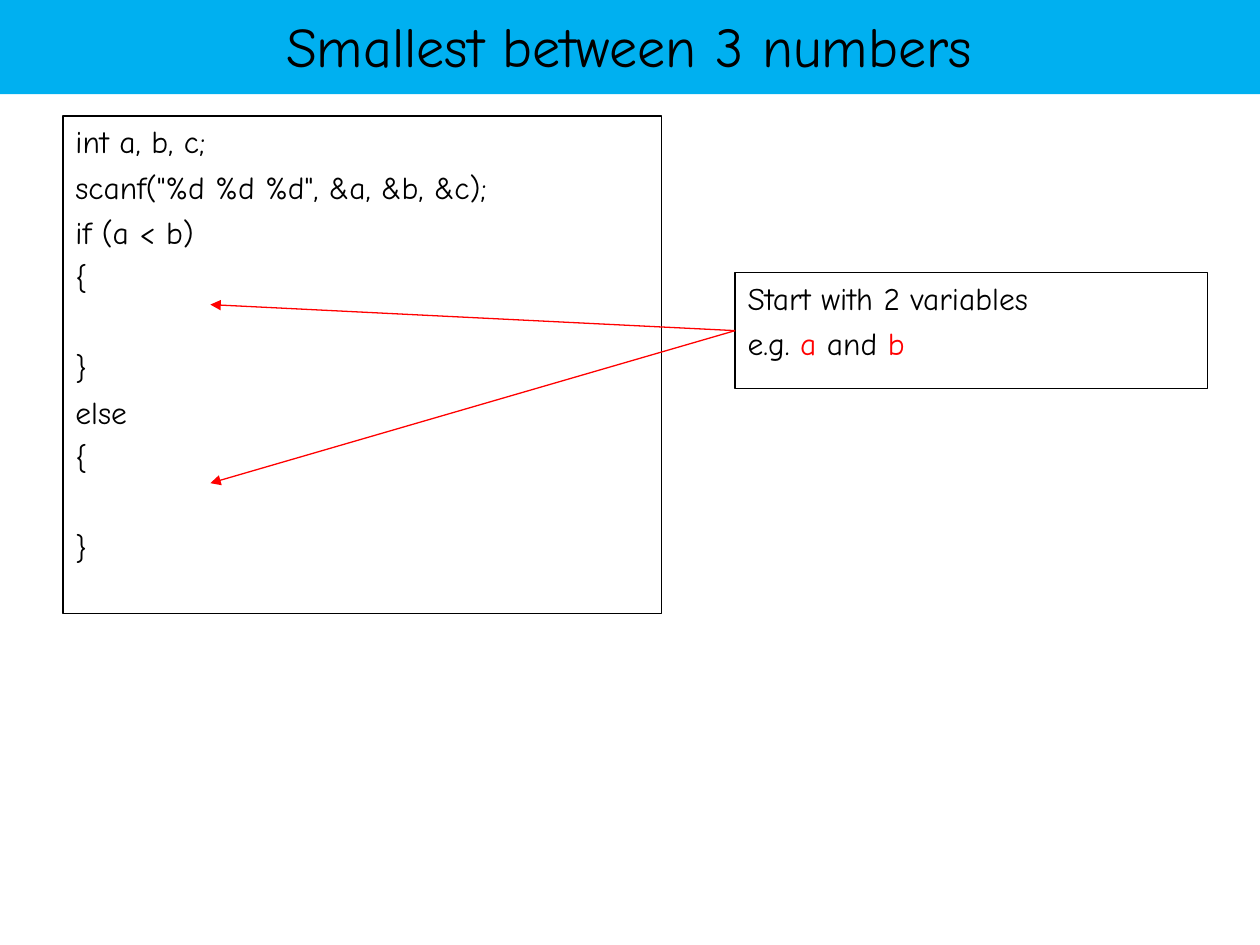
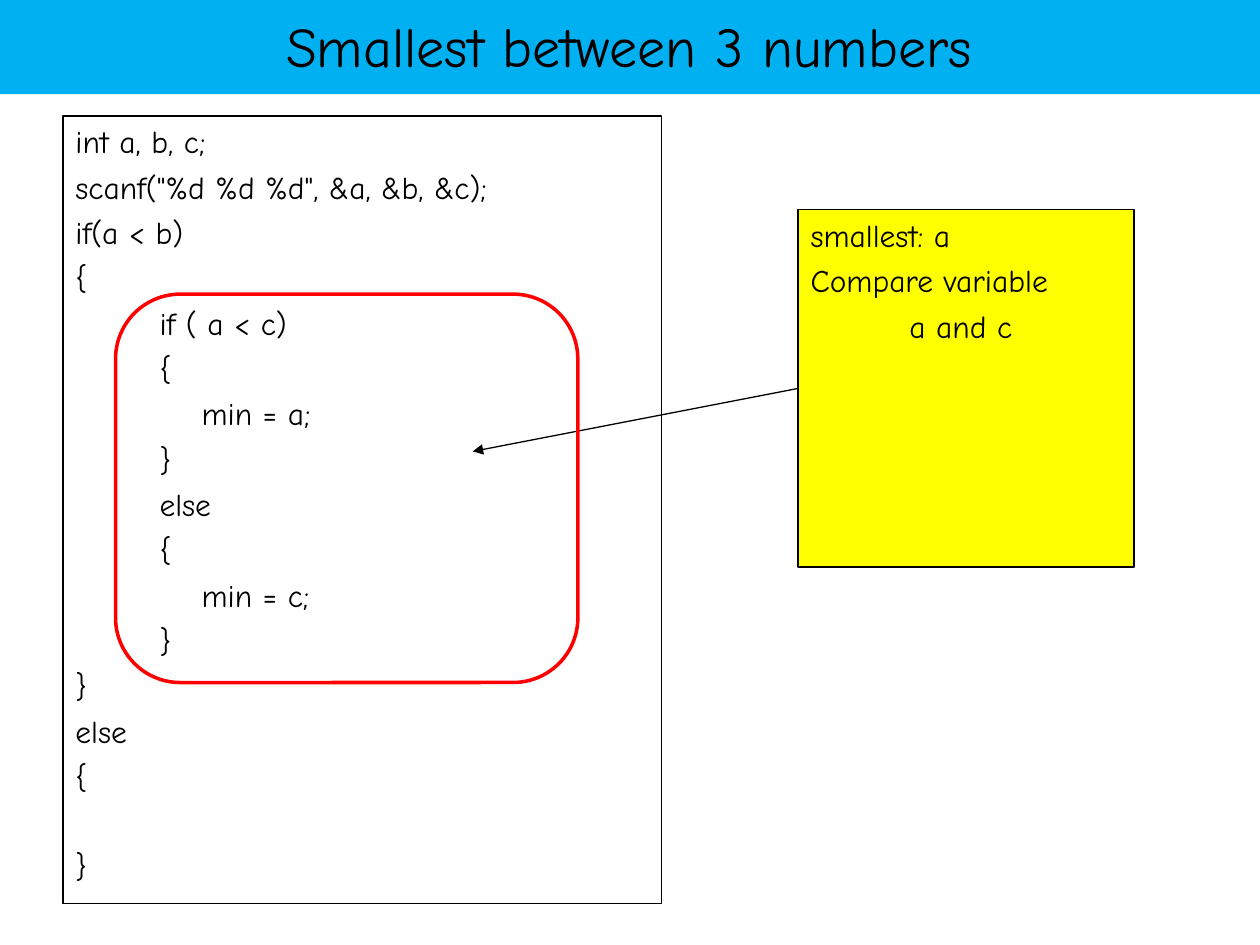
from pptx import Presentation
from pptx.dml.color import RGBColor
from pptx.enum.shapes import MSO_CONNECTOR, MSO_SHAPE
from pptx.enum.text import MSO_ANCHOR, PP_ALIGN
from pptx.oxml.ns import qn
from pptx.util import Cm, Pt
from lxml.etree import SubElement

BLACK, RED, BLUE, YELLOW = "000000", "FF0000", "00B0F0", "FFFF00"
FONT = "Comic Neue"
GAP = 4.3     # points before each line
PITCH = 25.2  # points from one line to the next
LEFT = 1      # connection site on a rectangle's left side


def color(text):
    return RGBColor.from_string(text)


class Deck:
    def __init__(self):
        self.prs = Presentation()
        self.prs.slide_width, self.prs.slide_height = Cm(25.4), Cm(19.05)
        self.slide = None

    def page(self, title):
        """Start a slide with its title band."""
        self.slide = self.prs.slides.add_slide(self.prs.slide_layouts[6])
        band = self.panel((-0.03, -0.08, 25.43, 1.98), [title],
                          fill=BLUE, line=None, size=32)
        band.text_frame.vertical_anchor = MSO_ANCHOR.MIDDLE
        band.text_frame.paragraphs[0].alignment = PP_ALIGN.CENTER

    def panel(self, place, lines, fill=None, line=BLACK, size=18):
        """Add a text panel; an empty line widens the gap before the next."""
        box = self.slide.shapes.add_textbox(*map(Cm, place))
        if fill:
            box.fill.solid()
            box.fill.fore_color.rgb = color(fill)
        if line:
            self.stroke(box.line, line)
        frame = box.text_frame
        frame.word_wrap = True
        para, gap = None, 0
        for row in lines:
            if not row:
                gap += PITCH
                continue
            if para is None:
                para = frame.paragraphs[0]
            else:
                para = frame.add_paragraph()
                para.space_before = Pt(gap)
            self.label(para, row, size)
            gap = GAP
        return box

    def label(self, para, row, size):
        """Fill a paragraph from a string or from (text, colour) pairs."""
        para.font.name, para.font.size = FONT, Pt(size)
        if isinstance(row, str):
            para.font.color.rgb = color(BLACK)
            para.add_run().text = row
            return
        for text, tint in row:
            run = para.add_run()
            run.text = text
            run.font.color.rgb = color(tint)

    def stroke(self, line, tint, width=0.75):
        line.color.rgb = color(tint)
        line.width = Pt(width)

    def arrow(self, source, x, y, tint):
        """Point from the left side of a panel to a spot in the code."""
        link = self.slide.shapes.add_connector(
            MSO_CONNECTOR.STRAIGHT, 0, 0, Cm(x), Cm(y))
        link.begin_connect(source, LEFT)
        self.stroke(link.line, tint)
        props = link._element.spPr
        SubElement(props.find(qn("a:ln")), qn("a:tailEnd"), type="triangle")
        SubElement(props, qn("a:effectLst"))

    def ring(self, place, tint):
        """Outline a region with a rounded frame."""
        frame = self.slide.shapes.add_shape(
            MSO_SHAPE.ROUNDED_RECTANGLE, *map(Cm, place))
        frame.shadow.inherit = False
        frame.fill.background()
        self.stroke(frame.line, tint, 2)


def main():
    deck = Deck()
    title = "Smallest between 3 numbers"
    head = ["int a, b, c;", 'scanf("%d %d %d", &a, &b, &c);']
    hollow = ["{", "", "}"]

    # First comparison
    deck.page(title)
    deck.panel((1.27, 2.34, 12.07, 10.03),
               head + ["if (a < b)"] + hollow + ["else"] + hollow)
    note = deck.panel((14.82, 5.5, 9.53, 2.33), [
        "Start with 2 variables",
        [("e.g. ", BLACK), ("a", RED), (" and ", BLACK), ("b", RED)],
    ])
    for y in (6.14, 9.74):
        deck.arrow(note, 4.24, y, RED)

    # Nested comparison
    deck.page(title)
    inner = [
        "        if ( a < c)",
        "        {",
        "            min = a;",
        "        }",
        "        else",
        "        {",
        "            min = c;",
        "        }",
    ]
    deck.panel((1.27, 2.34, 12.07, 15.88),
               head + ["if(a < b)", "{"] + inner + ["}", "else"] + hollow)
    note = deck.panel((16.09, 4.23, 6.77, 7.2),
                      ["smallest: a", "Compare variable", "a and c "],
                      fill=YELLOW)
    note.text_frame.paragraphs[-1].alignment = PP_ALIGN.CENTER
    deck.arrow(note, 9.53, 9.1, BLACK)
    deck.ring((2.33, 5.93, 9.32, 7.83), RED)

    deck.prs.save("out.pptx")


if __name__ == "__main__":
    main()
